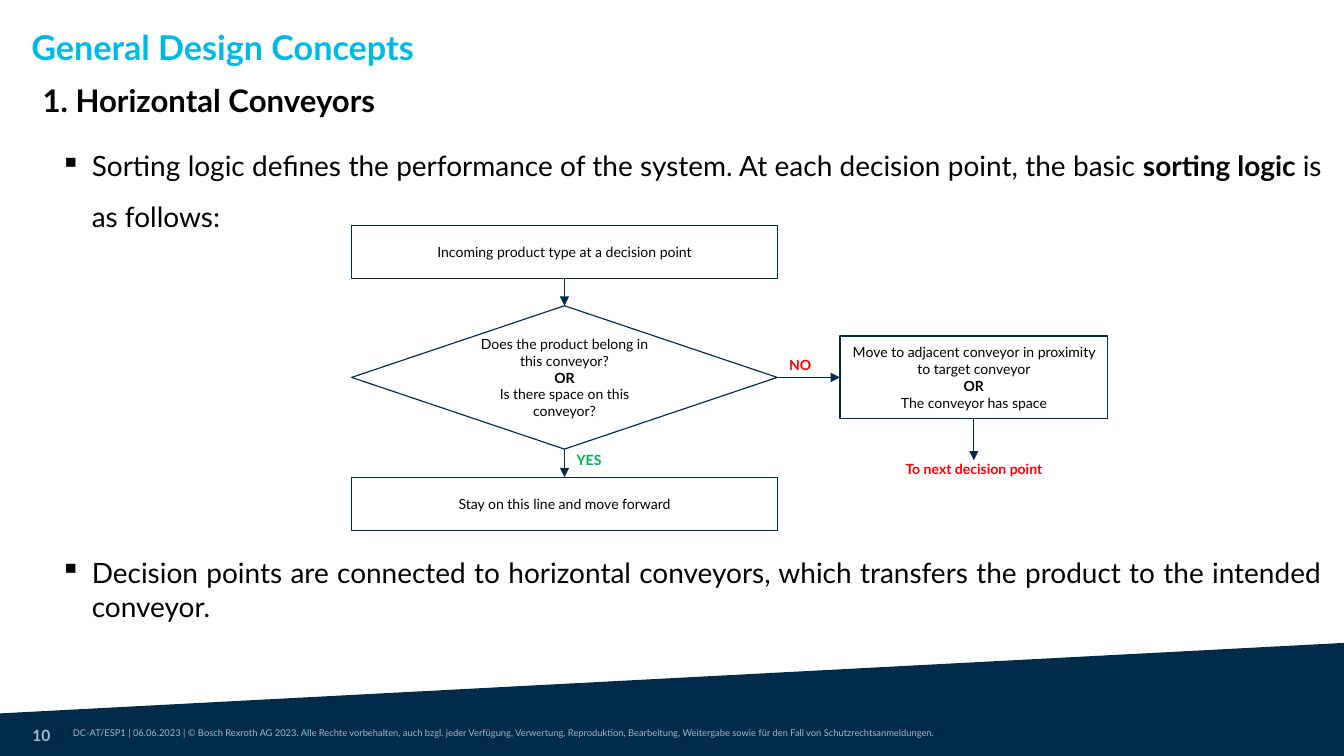
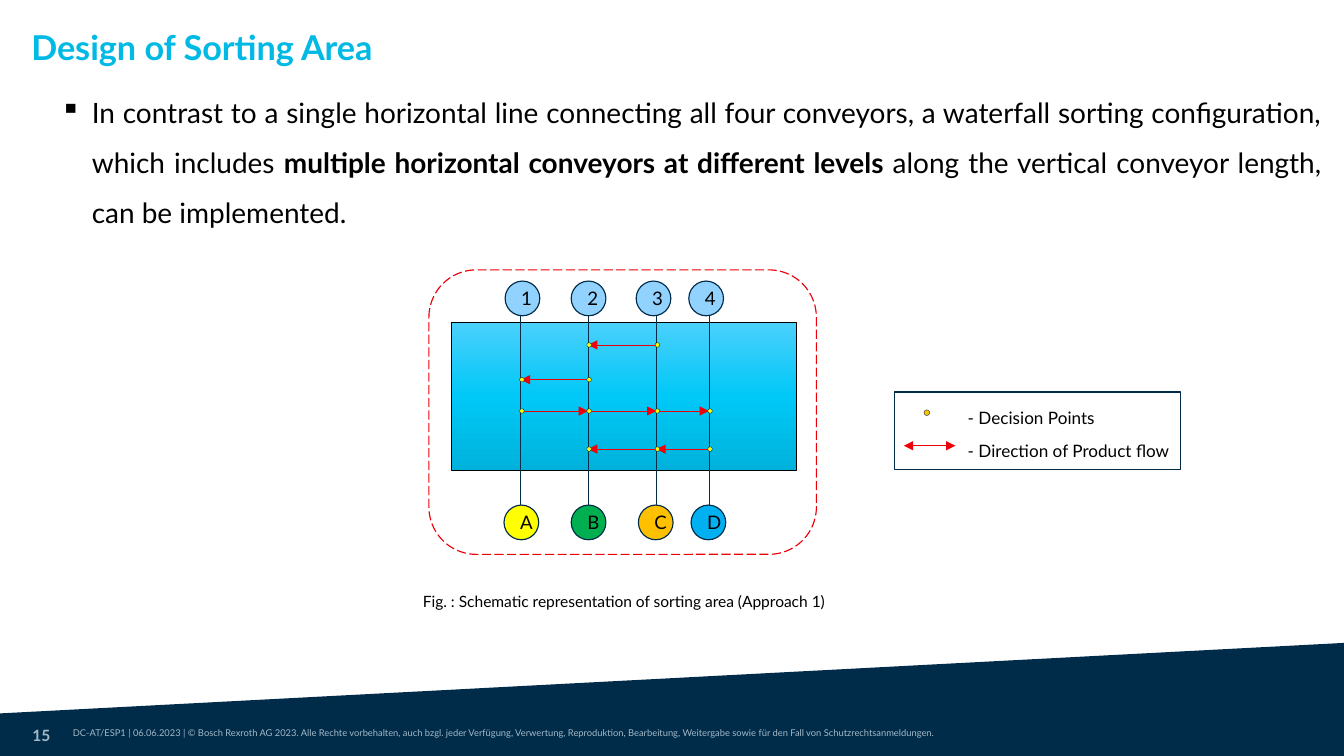
from copy import deepcopy

from pptx import Presentation
from pptx import util as u
from pptx.dml.color import RGBColor
from pptx.enum import dml, shapes, text
from pptx.oxml.ns import qn
from lxml import etree

FONT = "Lato"
C = {
    "navy": "002B49", "cyan": "00B9E5", "footer": "A3BAC8", "black": "000000",
    "red": "FF0000", "flow": "ED0007", "green": "00B050", "yellow": "FFFF00",
    "amber": "FFC000", "blue": "00B0F0", "pale": "92D2FF",
}
FOOTER = ("DC-AT/ESP1 | 06.06.2023 | © Bosch Rexroth AG 2023. Alle Rechte vorbehalten, "
          "auch bzgl. jeder Verfügung, Verwertung, Reproduktion, Bearbeitung, Weitergabe "
          "sowie für den Fall von Schutzrechtsanmeldungen.")
BAND = [(0, 6.75), (0, 6.37), (12, 5.74), (12, 6.75)]
LEFT, CENTER, JUSTIFY = text.PP_ALIGN.LEFT, text.PP_ALIGN.CENTER, text.PP_ALIGN.JUSTIFY
SHAPE = shapes.MSO_SHAPE

STEPS = {
    "check": (SHAPE.DIAMOND, (3.14, 2.73, 3.8, 1.28), [
        "Does the product belong in this conveyor?", [("OR", True)],
        "Is there space on this conveyor?"]),
    "move": (SHAPE.RECTANGLE, (7.5, 3, 2.39, 0.74), [
        "Move to adjacent conveyor in proximity to target conveyor", [("OR", True)],
        "The conveyor has space"]),
    "stay": (SHAPE.RECTANGLE, (3.14, 4.26, 3.8, 0.48), ["Stay on this line and move forward"]),
    "incoming": (SHAPE.RECTANGLE, (3.14, 2.01, 3.8, 0.48),
                 ["Incoming product type at a decision point"]),
}
FLOW_LABELS = {
    "no": ((6.89, 3.18, 0.51, 0.2), "NO", "red"),
    "yes": ((5.08, 4.03, 0.36, 0.19), "YES", "green"),
    "next": ((8, 4.11, 1.39, 0.17), "To next decision point", "red"),
}
FLOW_LINKS = [("incoming", 2, "check", 0), ("check", 3, "move", 1),
              ("check", 2, "stay", 0), ("move", 2, "next", 0)]
SORTING_LOGIC = [
    ("Sorting logic defines the performance of the system. At each decision point, the basic ", False),
    ("sorting logic ", True), ("is as follows:", False)]
DECISION_POINTS = ("Decision points are connected to horizontal conveyors, which transfers "
                   "the product to the intended conveyor.")

WATERFALL = [
    ("In contrast to a single horizontal line connecting all four conveyors, a waterfall sorting "
     "configuration, which includes ", False),
    ("multiple horizontal conveyors at different levels ", True),
    ("along the vertical conveyor length, can be implemented.", False)]
CONVEYORS = [
    (4.65, ("1", 4.51), ("A", 4.5), "yellow"),
    (5.25, ("2", 5.1), ("B", 5.1), "green"),
    (5.86, ("3", 5.68), ("C", 5.7), "amber"),
    (6.33, ("4", 6.15), ("D", 6.17), "blue"),
]
LEVELS = [(3.08, [2, 1]), (3.39, [1, 0]), (3.67, [0, 1, 2, 3]), (4.01, [3, 2, 1])]
AREA_GRADIENT = [(0, "4BD0FC"), (0.5, "00C8F7"), (1, "00B2DB")]
LEGEND = [(3.5, "- Decision Points", 1.35), (3.8, "- Direction of Product flow", 1.83)]


def rgb(name):
    return RGBColor.from_string(C.get(name, name))


def inches(*values):
    return [u.Inches(v) for v in values]


def write(sp, paragraphs, size, color="black", bold=False, align=LEFT, spacing=None,
          after=None, hang=False, bullet=None):
    tf = sp.text_frame
    for i, runs in enumerate(paragraphs):
        p = tf.paragraphs[0] if i == 0 else tf.add_paragraph()
        p.alignment = align
        pPr = p._p.get_or_add_pPr()
        if hang:
            pPr.set("marL", str(u.Inches(0.28)))
            pPr.set("indent", str(-u.Inches(0.28)))
        if bullet:
            etree.SubElement(pPr, qn("a:buChar")).set("char", bullet)
        if spacing:
            p.line_spacing = spacing
        if after:
            p.space_after = u.Pt(after)
        for words, strong in ([(runs, bold)] if isinstance(runs, str) else runs):
            r = p.add_run()
            r.text = words
            r.font.name, r.font.size, r.font.bold = FONT, u.Pt(size), strong
            r.font.color.rgb = rgb(color)


def label(parent, at, paragraphs, size, wrap=True, **style):
    sp = parent.add_textbox(*inches(*at))
    tf = sp.text_frame
    tf.word_wrap = wrap
    tf.margin_left = tf.margin_top = tf.margin_right = tf.margin_bottom = 0
    write(sp, paragraphs, size, **style)
    return sp


def shape(parent, kind, at, fill=None, line="navy", width=0.75):
    sp = parent.add_shape(kind, *inches(*at))
    sp.shadow.inherit = False
    if fill:
        sp.fill.solid()
        sp.fill.fore_color.rgb = rgb(fill)
    else:
        sp.fill.background()
    sp.line.color.rgb = rgb(line)
    sp.line.width = u.Pt(width)
    return sp


def node(parent, kind, at, paragraphs, size, fill=None):
    sp = shape(parent, kind, at, fill)
    sp.text_frame.word_wrap = True
    sp.text_frame.vertical_anchor = text.MSO_ANCHOR.MIDDLE
    write(sp, paragraphs, size, align=CENTER)
    return sp


def line(parent, x1, y1, x2, y2, color="navy", ends=()):
    cx = parent.add_connector(shapes.MSO_CONNECTOR.STRAIGHT, *inches(x1, y1, x2, y2))
    cx.line.color.rgb = rgb(color)
    cx.line.width = u.Pt(0.5)
    for end in ends:
        etree.SubElement(cx.line._get_or_add_ln(), qn("a:" + end)).set("type", "triangle")
    etree.SubElement(cx._element.spPr, qn("a:effectLst"))
    return cx


def bullet_text(s, top, height, runs, spacing=None):
    label(s.shapes, (0.54, top, 11.26, height), [runs], 18, align=JUSTIFY,
          spacing=spacing, hang=True, bullet="▪")


def heading(s, left, top, words, size, color):
    label(s.shapes, (left, top, 11.43, 0.43), [words], size, color=color, bold=True,
          spacing=0.89, hang=True)


def base_slide(prs, title, number):
    s = prs.slides.add_slide(prs.slide_layouts[6])
    points = [inches(*pt) for pt in BAND]
    fb = s.shapes.build_freeform(*points[0])
    fb.add_line_segments(points[1:], close=True)
    band = fb.convert_to_shape()
    band.shadow.inherit = False
    band.fill.solid()
    band.fill.fore_color.rgb = rgb("navy")
    band.line.fill.background()
    label(s.shapes, (0.65, 6.49, 9.68, 0.13), [FOOTER], 6, color="footer", spacing=1.07, after=1)
    label(s.shapes, (0.29, 6.48, 0.37, 0.27), [number], 10, wrap=False, color="footer", bold=True)
    heading(s, 0.28, 0.28, title, 22, "cyan")
    return s


def concepts_slide(prs):
    s = base_slide(prs, "General Design Concepts", "10")
    parts = {name: node(s.shapes, kind, at, words, 9)
             for name, (kind, at, words) in STEPS.items()}
    for name, (at, words, color) in FLOW_LABELS.items():
        parts[name] = label(s.shapes, at, [words], 9, color=color, bold=True, align=CENTER)
    for start, out, end, into in FLOW_LINKS:
        cx = line(s.shapes, 0, 0, 0, 0, ends=["tailEnd"])
        cx.begin_connect(parts[start], out)
        cx.end_connect(parts[end], into)
    heading(s, 0.38, 0.77, "1. Horizontal Conveyors", 20, "black")
    bullet_text(s, 1.18, 0.81, SORTING_LOGIC, 1.5)
    bullet_text(s, 4.96, 0.65, DECISION_POINTS)


def legend(s):
    g = s.shapes.add_group_shape().shapes
    shape(g, SHAPE.OVAL, (8.25, 3.66, 0.05, 0.05), "amber", width=0.25)
    line(g, 8.07, 3.98, 8.53, 3.98, "flow", ["headEnd", "tailEnd"])
    for top, words, width in LEGEND:
        label(g, (8.64, top, width, 0.28), [words], 11, spacing=u.Pt(23))
    shape(g, SHAPE.RECTANGLE, (7.99, 3.5, 2.55, 0.69))


def sorting_area(s):
    g = s.shapes.add_group_shape().shapes
    area = shape(g, SHAPE.RECTANGLE, (4.03, 2.88, 3.08, 1.32), line="black", width=0.5)
    area.fill.gradient()
    area.fill.gradient_angle = 270
    first = area._element.spPr.find(".//" + qn("a:gs"))
    first.addnext(deepcopy(first))
    for stop, (position, color) in zip(area.fill.gradient_stops, AREA_GRADIENT):
        stop.position = position
        stop.color.rgb = rgb(color)

    for x, *_ in CONVEYORS:
        line(g, x, 2.66, x, 4.51)
    for _, (number, number_x), (letter, letter_x), color in CONVEYORS:
        node(g, SHAPE.OVAL, (number_x, 2.51, 0.31, 0.31), [number], 12, "pale")
        node(g, SHAPE.OVAL, (letter_x, 4.51, 0.31, 0.31), [letter], 12, color)
    for y, route in LEVELS:
        stops = [CONVEYORS[i][0] for i in route]
        for x1, x2 in zip(stops, stops[1:]):
            line(g, x1, y, x2, y, "flow", ["tailEnd"])
        for x in stops:
            shape(g, SHAPE.OVAL, (x - 0.01, y - 0.02, 0.04, 0.04), "yellow", width=0.25)
    frame = shape(g, SHAPE.ROUNDED_RECTANGLE, (3.83, 2.41, 3.46, 2.54), line="flow")
    frame.line.dash_style = dml.MSO_LINE.LONG_DASH


def sorting_slide(prs):
    s = base_slide(prs, "Design of Sorting Area", "15")
    bullet_text(s, 0.7, 1.37, WATERFALL, 1.5)
    legend(s)
    sorting_area(s)
    label(s.shapes, (2.77, 5.13, 5.6, 0.31),
          ["Fig. : Schematic representation of sorting area (Approach 1)"], 10,
          align=CENTER, spacing=u.Pt(23))


def main():
    prs = Presentation()
    prs.slide_width, prs.slide_height = inches(12, 6.75)
    concepts_slide(prs)
    sorting_slide(prs)
    prs.save("out.pptx")


if __name__ == "__main__":
    main()
